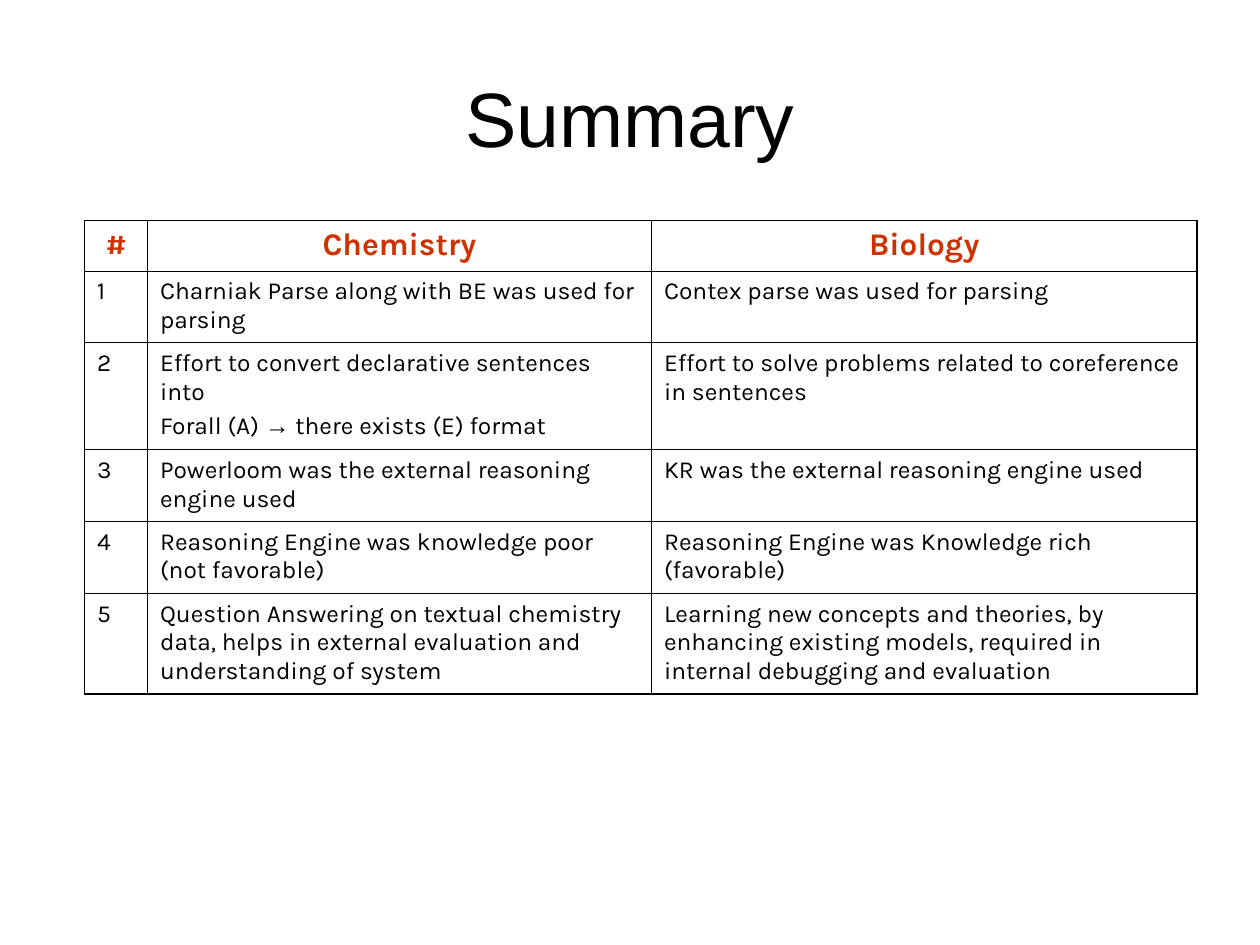
"""Build the summary slide that compares the chemistry and biology systems."""
from dataclasses import dataclass

from lxml.etree import Element, SubElement
from pptx import Presentation
from pptx.dml.color import RGBColor
from pptx.enum.text import MSO_ANCHOR, PP_ALIGN
from pptx.oxml.ns import qn
from pptx.table import _Cell
from pptx.util import Inches, Pt

BLACK = RGBColor(0x00, 0x00, 0x00)
HEADING_RED = RGBColor(0xCC, 0x33, 0x00)
TITLE_FONT = "Arial"
TABLE_FONT = "Karla"
ARROW = "→"
OUTER_LINE = Pt(1.08)
INNER_LINE = Pt(0.45)
COLUMN_WIDTHS = (0.5, 4, 4.33)


@dataclass(frozen=True)
class TextStyle:
    size: float
    color: RGBColor
    bold: bool
    alignment: PP_ALIGN


@dataclass(frozen=True)
class Row:
    height: float
    texts: tuple[str, str, str]
    style: TextStyle


HEADING = TextStyle(18, HEADING_RED, True, PP_ALIGN.CENTER)
BODY = TextStyle(14, BLACK, False, PP_ALIGN.LEFT)

ROWS = (
    Row(0.4, ("#", "Chemistry", "Biology"), HEADING),
    Row(0.57, ("1", "Charniak Parse along with BE was used for parsing",
               "Contex parse was used for parsing"), BODY),
    Row(0.85, ("2", "Effort to convert declarative sentences into\n"
                    "Forall (A) → there exists (E) format",
               "Effort to solve problems related to coreference in sentences"), BODY),
    Row(0.57, ("3", "Powerloom was the external reasoning engine used",
               "KR was the external reasoning engine used"), BODY),
    Row(0.57, ("4", "Reasoning Engine was knowledge poor (not favorable)",
               "Reasoning Engine was Knowledge rich (favorable)"), BODY),
    Row(0.8, ("5", "Question Answering on textual chemistry data, helps in external "
                   "evaluation and understanding of system",
              "Learning new concepts and theories, by enhancing existing models, "
              "required in internal debugging and evaluation"), BODY),
)


def write_cell(cell: _Cell, text: str, style: TextStyle) -> None:
    """Fill a cell with one paragraph per line, with arrows in the title font."""
    frame = cell.text_frame
    for index, line in enumerate(text.split("\n")):
        paragraph = frame.add_paragraph() if index else frame.paragraphs[0]
        if index:
            paragraph.space_before = Pt(3.5)
        paragraph.alignment = style.alignment
        font = paragraph.font
        font.name, font.size, font.bold = TABLE_FONT, Pt(style.size), style.bold
        font.color.rgb = style.color
        before, arrow, after = line.partition(ARROW)
        for piece in filter(None, (before, arrow, after)):
            span = paragraph.add_run()
            span.text = piece
            span.font.name = TITLE_FONT if piece == ARROW else TABLE_FONT
            span.font.size, span.font.bold = Pt(style.size), style.bold
            span.font.color.rgb = style.color


def draw_borders(cell: _Cell, outer_sides: dict[str, bool]) -> None:
    """Draw all four borders, thicker on the outside of the table."""
    properties = cell._tc.get_or_add_tcPr()
    for position, (side, is_outer) in enumerate(outer_sides.items()):
        line = Element(qn(f"a:{side}"), w=str(OUTER_LINE if is_outer else INNER_LINE))
        fill = SubElement(line, qn("a:solidFill"))
        SubElement(fill, qn("a:srgbClr"), val=str(BLACK))
        properties.insert(position, line)


def add_title(slide) -> None:
    """Place and format the slide title."""
    title = slide.shapes.title
    title.left, title.top = Inches(0.5), Inches(0.3)
    title.width, title.height = Inches(9), Inches(1.25)
    title.text_frame.text = "Summary"
    title.text_frame.vertical_anchor = MSO_ANCHOR.MIDDLE
    paragraph = title.text_frame.paragraphs[0]
    paragraph.alignment = PP_ALIGN.CENTER
    paragraph.font.name, paragraph.font.size = TITLE_FONT, Pt(44)
    paragraph.font.color.rgb = BLACK


def add_comparison(slide) -> None:
    """Add the table of chemistry and biology findings."""
    table = slide.shapes.add_table(
        len(ROWS), len(COLUMN_WIDTHS), Inches(0.67), Inches(1.75),
        Inches(sum(COLUMN_WIDTHS)), Inches(sum(row.height for row in ROWS))).table
    table.first_row = table.horz_banding = False
    for column, width in zip(table.columns, COLUMN_WIDTHS):
        column.width = Inches(width)
    for row_index, row in enumerate(ROWS):
        table.rows[row_index].height = Inches(row.height)
        for column_index, text in enumerate(row.texts):
            cell = table.cell(row_index, column_index)
            cell.fill.background()
            write_cell(cell, text, row.style)
            draw_borders(cell, {
                "lnL": column_index == 0,
                "lnR": column_index == len(COLUMN_WIDTHS) - 1,
                "lnT": row_index == 0,
                "lnB": row_index == len(ROWS) - 1,
            })


def main() -> None:
    """Create the deck and save it."""
    deck = Presentation()
    deck.slide_width, deck.slide_height = Inches(10), Inches(7.5)
    page = deck.slides.add_slide(deck.slide_layouts.get_by_name("Title Only"))
    add_title(page)
    add_comparison(page)
    deck.save("out.pptx")


if __name__ == "__main__":
    main()
